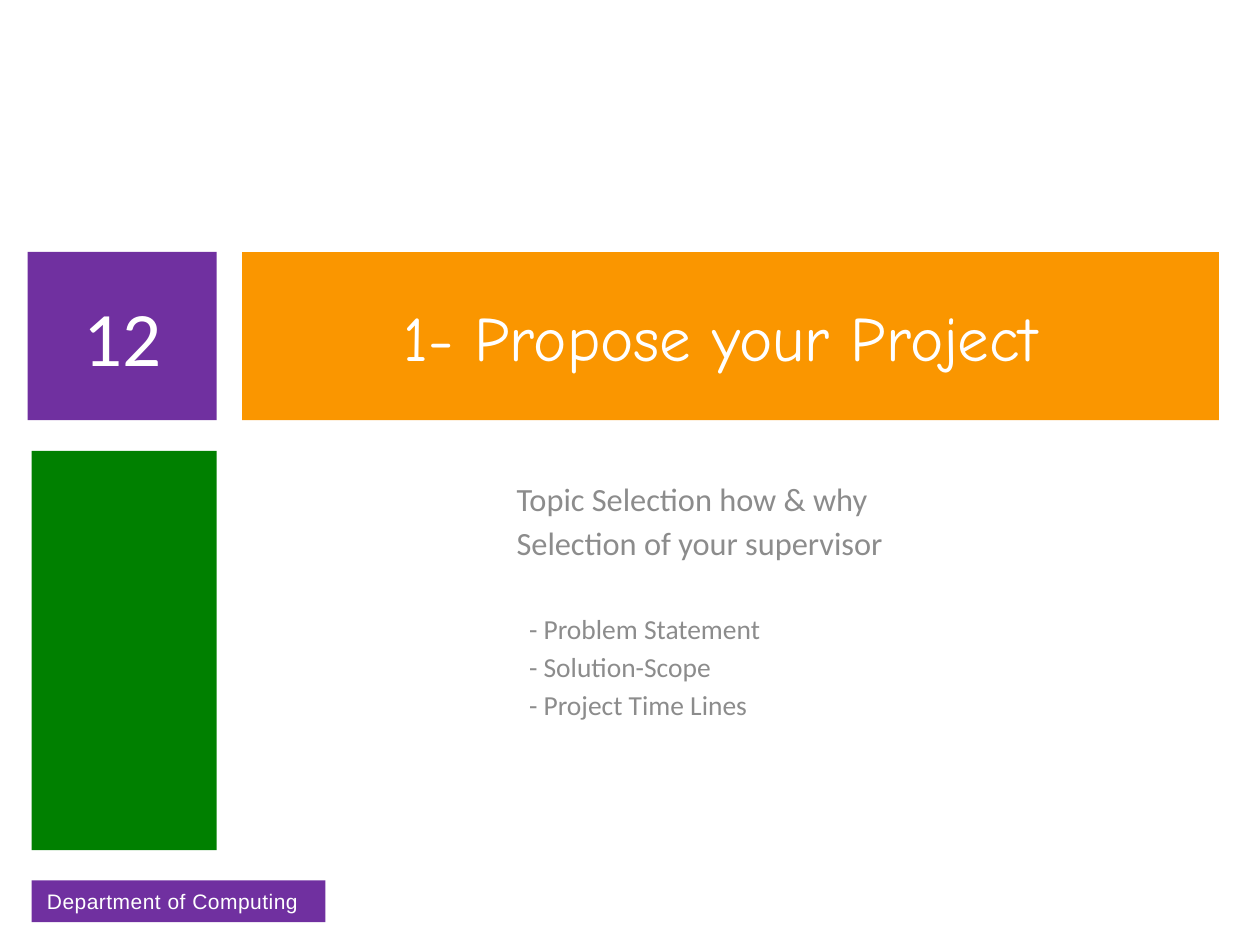
from dataclasses import dataclass

from pptx import Presentation
from pptx.dml.color import RGBColor
from pptx.enum.shapes import MSO_SHAPE
from pptx.enum.text import MSO_ANCHOR, MSO_AUTO_SIZE, PP_ALIGN
from pptx.shapes.autoshape import Shape
from pptx.slide import Slide
from pptx.text.text import _Paragraph as Paragraph
from pptx.util import Cm, Pt


@dataclass(frozen=True)
class Theme:
    green: str = "008000"
    orange: str = "FA9600"
    purple: str = "7030A0"
    white: str = "FFFFFF"
    gray: str = "8C8C8C"
    title_size: float = 36
    number_size: float = 44
    footer_size: float = 12
    topic_size: float = 18.5
    detail_size: float = 15.7


@dataclass(frozen=True)
class Frame:
    left: float
    top: float
    width: float
    height: float


@dataclass(frozen=True)
class Label:
    text: str
    font: str
    size: float
    right_inset: float = 0.25
    tracking: int = 0


@dataclass(frozen=True)
class Line:
    text: str
    size: float
    space_before: float
    indent: float = 0


THEME = Theme()
SIDE_PANEL = Frame(0.64, 9.09, 3.73, 8.05)
TITLE_BAND = Frame(4.88, 5.08, 19.69, 3.39)
NUMBER_BOX = Frame(0.56, 5.08, 3.81, 3.39)
FOOTER_BAND = Frame(0.64, 17.75, 5.92, 0.84)
TOPIC_AREA = Frame(10.16, 9.53, 10.36, 4.65)

TITLE = Label("1- Propose your Project", "Comic Neue", THEME.title_size, 0.65)
NUMBER = Label("12", "Calibri", THEME.number_size)
FOOTER = Label("Department of Computing", "Arial", THEME.footer_size, 0.49, 28)
TOPICS = [
    Line("Topic Selection how & why", THEME.topic_size, 0),
    Line("Selection of your supervisor", THEME.topic_size, 3.1),
    Line("- Problem Statement", THEME.detail_size, 28.5, 0.25),
    Line("- Solution-Scope", THEME.detail_size, 2.8, 0.25),
    Line("- Project Time Lines", THEME.detail_size, 2.8, 0.25),
]


def place(box: Shape, frame: Frame) -> None:
    box.left, box.top = Cm(frame.left), Cm(frame.top)
    box.width, box.height = Cm(frame.width), Cm(frame.height)


def paint(box: Shape, color: str) -> None:
    box.fill.solid()
    box.fill.fore_color.rgb = RGBColor.from_string(color)
    box.line.fill.background()


def add_span(para: Paragraph, text: str, font: str, size: float, color: str,
             tracking: int = 0) -> None:
    span = para.add_run()
    span.text = text
    if tracking:
        span._r.get_or_add_rPr().set("spc", str(tracking))
    span.font.name = font
    span.font.size = Pt(size)
    span.font.color.rgb = RGBColor.from_string(color)


def write_label(box: Shape, label: Label) -> None:
    frame = box.text_frame
    frame.word_wrap = True
    frame.auto_size = MSO_AUTO_SIZE.NONE
    frame.vertical_anchor = MSO_ANCHOR.MIDDLE
    frame.margin_right = Cm(label.right_inset)
    para = frame.paragraphs[0]
    para.alignment = PP_ALIGN.CENTER
    add_span(para, label.text, label.font, label.size, THEME.white, label.tracking)


def add_block(page: Slide, frame: Frame, color: str) -> Shape:
    box = page.shapes.add_shape(MSO_SHAPE.RECTANGLE, 0, 0, 0, 0)
    place(box, frame)
    paint(box, color)
    box.shadow.inherit = False
    return box


def write_lines(box: Shape, lines: list[Line]) -> None:
    frame = box.text_frame
    frame.word_wrap = True
    frame.auto_size = MSO_AUTO_SIZE.NONE
    frame.vertical_anchor = MSO_ANCHOR.TOP
    for index, line in enumerate(lines):
        para = frame.add_paragraph() if index else frame.paragraphs[0]
        para.alignment = PP_ALIGN.LEFT
        para.space_before = Pt(line.space_before)
        properties = para._p.get_or_add_pPr()
        properties.set("marL", str(Cm(line.indent)))
        properties.set("indent", "0")
        add_span(para, line.text, "Calibri", line.size, THEME.gray)


def main() -> None:
    deck = Presentation()
    deck.slide_width, deck.slide_height = Cm(25.4), Cm(19.05)
    page = deck.slides.add_slide(deck.slide_layouts[0])

    title = page.shapes.title
    place(title, TITLE_BAND)
    paint(title, THEME.orange)
    write_label(title, TITLE)

    topics = page.placeholders[1]
    place(topics, TOPIC_AREA)
    write_lines(topics, TOPICS)

    add_block(page, SIDE_PANEL, THEME.green)
    write_label(add_block(page, FOOTER_BAND, THEME.purple), FOOTER)
    write_label(add_block(page, NUMBER_BOX, THEME.purple), NUMBER)
    deck.save("out.pptx")


if __name__ == "__main__":
    main()
